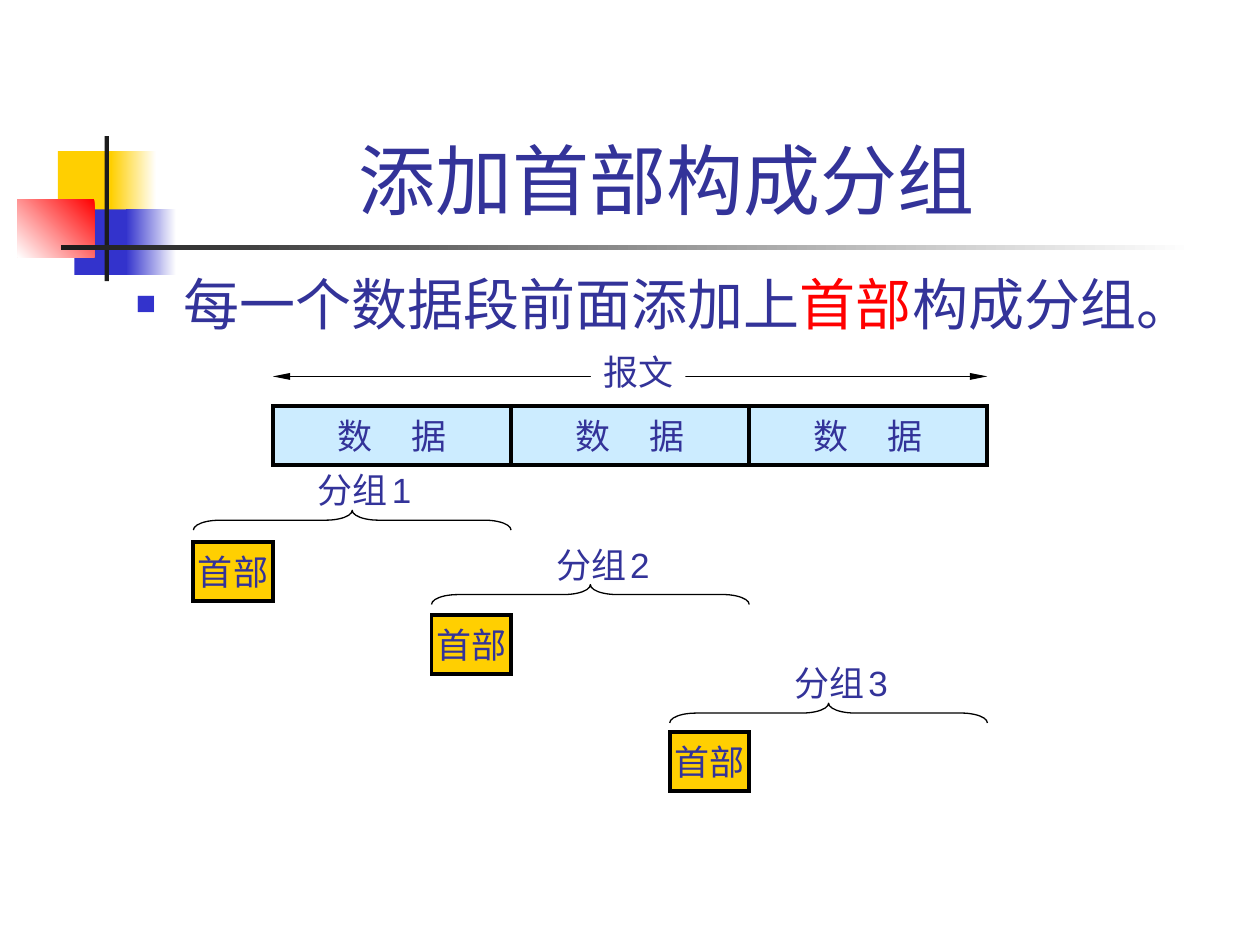
from dataclasses import dataclass
from typing import Optional

from lxml import etree
from pptx import Presentation
from pptx.dml.color import RGBColor
from pptx.enum import shapes, text
from pptx.oxml.ns import qn
from pptx.util import Pt


@dataclass(frozen=True)
class Theme:
    ink: str = "333399"
    red: str = "FF0000"
    yellow: str = "FFCF01"
    blue: str = "3333CC"
    pale: str = "CCECFF"
    dark: str = "1C1C1C"
    black: str = "000000"
    white: str = "FFFFFF"
    sans: str = "Arial"
    label: str = "Lato"
    serif: str = "Times New Roman"
    title_size: float = 44
    body_size: float = 32
    label_size: float = 20
    gap_size: float = 10
    thick: float = 2.25
    thin: float = 0.75


@dataclass(frozen=True)
class Area:
    left: float
    top: float
    width: float
    height: float

    def lengths(self) -> tuple:
        return Pt(self.left), Pt(self.top), Pt(self.width), Pt(self.height)


@dataclass(frozen=True)
class Span:
    words: str
    color: Optional[str] = None
    font: Optional[str] = None
    size: Optional[float] = None
    spacing: Optional[float] = None


@dataclass(frozen=True)
class Ornament:
    area: Area
    start: str
    end: Optional[str] = None
    angle: float = 180


@dataclass(frozen=True)
class Packet:
    number: int
    brace_top: float
    header_top: float


THEME = Theme()
ORNAMENTS = [
    Ornament(Area(33.1, 86.4, 34.6, 37.4), THEME.yellow),
    Ornament(Area(63.4, 86.4, 25.9, 37.4), THEME.white, THEME.yellow),
    Ornament(Area(42.5, 119.7, 33.1, 37.4), THEME.blue),
    Ornament(Area(72, 119.7, 28.8, 37.4), THEME.white, THEME.blue),
    Ornament(Area(10, 113.8, 44, 33.1), THEME.red, THEME.white, 225),
    Ornament(Area(59.8, 77.8, 2.4, 82.8), THEME.dark),
    Ornament(Area(34.6, 140.2, 648, 2.5), THEME.white, THEME.dark),
]
PACKETS = [Packet(1, 291.6, 309.6), Packet(2, 334.1, 351.4), Packet(3, 401.8, 418.3)]

# Message grid: each header sits just left of its data column
MESSAGE_LEFT, COLUMN_WIDTH = 155.9, 136.1
HEADER_WIDTH, BLOCK_HEIGHT = 45.4, 33.8
DATA_TOP, ARROW_TOP = 231.8, 215.1
BRACE_HEIGHT, BRACE_CURVE = 11.3, 1.33
LABEL_INDENT, LABEL_RISE = 64.1, 27.3


def add_rect(page, area: Area, fill: str, line: Optional[str] = None):
    box = page.shapes.add_shape(shapes.MSO_SHAPE.RECTANGLE, *area.lengths())
    box.shadow.inherit = False
    box.fill.solid()
    box.fill.fore_color.rgb = RGBColor.from_string(fill)
    if line:
        box.line.color.rgb = RGBColor.from_string(line)
        box.line.width = Pt(THEME.thick)
        etree.SubElement(box.line._get_or_add_ln(), qn("a:miter"), lim="800000")
    else:
        box.line.fill.background()
    return box


def add_ornament(page, ornament: Ornament) -> None:
    box = add_rect(page, ornament.area, ornament.start)
    if ornament.end:
        box.fill.gradient()
        box.fill.gradient_angle = ornament.angle
        for stop, color in zip(box.fill.gradient_stops, (ornament.start, ornament.end)):
            stop.color.rgb = RGBColor.from_string(color)


def write(box, spans: list, font: str, size: float, align=text.PP_ALIGN.LEFT,
          anchor=text.MSO_ANCHOR.TOP, wrap: bool = False) -> None:
    frame = box.text_frame
    frame.word_wrap = wrap
    frame.vertical_anchor = anchor
    para = frame.paragraphs[0]
    para.alignment = align
    para.font.name, para.font.size = font, Pt(size)
    para.font.color.rgb = RGBColor.from_string(THEME.ink)
    for span in spans:
        run = para.add_run()
        run.text = span.words
        if span.color:
            run.font.color.rgb = RGBColor.from_string(span.color)
        if span.font:
            run.font.name = span.font
        if span.size:
            run.font.size = Pt(span.size)
        if span.spacing:
            run.font._element.set("spc", str(int(span.spacing * 100)))


def add_bullet(para, indent: float) -> None:
    props = para._p.get_or_add_pPr()
    props.set("marL", str(Pt(indent)))
    props.set("indent", str(-Pt(indent)))
    color = etree.Element(qn("a:buClr"))
    etree.SubElement(color, qn("a:srgbClr"), val=THEME.blue)
    size = etree.Element(qn("a:buSzPct"), val="60000")
    face = etree.Element(qn("a:buFont"), typeface=THEME.sans)
    mark = etree.Element(qn("a:buChar"), char="■")
    for place, element in enumerate((color, size, face, mark)):
        props.insert(place, element)


def add_block(page, area: Area, fill: str, spans: list) -> None:
    write(add_rect(page, area, fill, THEME.black), spans, THEME.label, THEME.label_size,
          text.PP_ALIGN.CENTER, text.MSO_ANCHOR.MIDDLE)


def add_span_arrow(page, left: float, right: float, top: float) -> None:
    arrow = page.shapes.add_connector(shapes.MSO_CONNECTOR.STRAIGHT,
                                      Pt(left), Pt(top), Pt(right), Pt(top))
    arrow.line.color.rgb = RGBColor.from_string(THEME.black)
    arrow.line.width = Pt(THEME.thin)
    for end in ("a:headEnd", "a:tailEnd"):
        etree.SubElement(arrow.line._get_or_add_ln(), qn(end),
                         type="triangle", w="sm", len="lg")
    etree.SubElement(arrow._element.spPr, qn("a:effectLst"))


def add_brace(page, left: float, top: float, width: float) -> None:
    # The upright brace is turned a quarter about its centre
    upright = Area(left + (width - BRACE_HEIGHT) / 2, top - (width - BRACE_HEIGHT) / 2,
                   BRACE_HEIGHT, width)
    brace = page.shapes.add_shape(shapes.MSO_SHAPE.LEFT_BRACE, *upright.lengths())
    brace.rotation = 90
    brace.adjustments[0] = BRACE_CURVE
    brace.shadow.inherit = False
    brace.fill.background()
    brace.line.color.rgb = RGBColor.from_string(THEME.black)
    brace.line.width = Pt(THEME.thin)


def add_packet(page, packet: Packet) -> None:
    left = MESSAGE_LEFT + (packet.number - 1) * COLUMN_WIDTH - HEADER_WIDTH
    add_block(page, Area(left, packet.header_top, HEADER_WIDTH, BLOCK_HEIGHT),
              THEME.yellow, [Span("首部")])
    add_brace(page, left, packet.brace_top, HEADER_WIDTH + COLUMN_WIDTH)
    # The label is a little wider than its text, so it stays on one line
    label = Area(left + LABEL_INDENT, packet.brace_top - LABEL_RISE, 78, 31.7)
    write(page.shapes.add_textbox(*label.lengths()),
          [Span("分组"), Span(" ", font=THEME.sans, size=THEME.gap_size),
           Span(str(packet.number), font=THEME.sans)],
          THEME.label, THEME.label_size, wrap=True)


def main() -> None:
    deck = Presentation()
    deck.slide_width, deck.slide_height = Pt(720), Pt(540)
    page = deck.slides.add_slide(deck.slide_layouts[6])

    # Corner decoration
    for ornament in ORNAMENTS:
        add_ornament(page, ornament)

    # Title and statement
    title = page.shapes.add_textbox(*Area(90.7, 16.6, 581, 115.2).lengths())
    write(title, [Span("添加首部构成分组")], THEME.sans, THEME.title_size,
          text.PP_ALIGN.CENTER, text.MSO_ANCHOR.BOTTOM, wrap=True)
    body = page.shapes.add_textbox(*Area(70.6, 150.5, 623.5, 324).lengths())
    add_bullet(body.text_frame.paragraphs[0], 27)
    write(body, [Span("每一个数据段前面添加上"), Span("首部", THEME.red), Span("构成分组。")],
          THEME.sans, THEME.body_size, wrap=True)

    # Whole message: span arrow, its label and the data columns
    add_span_arrow(page, MESSAGE_LEFT, MESSAGE_LEFT + 3 * COLUMN_WIDTH, ARROW_TOP)
    label = add_rect(page, Area(337.7, 196.6, 54, 31.7), THEME.white)
    write(label, [Span("报文")], THEME.serif, THEME.label_size)
    for column in range(3):
        area = Area(MESSAGE_LEFT + column * COLUMN_WIDTH, DATA_TOP, COLUMN_WIDTH, BLOCK_HEIGHT)
        add_block(page, area, THEME.pale, [Span("数"), Span(" ", spacing=18), Span("据")])

    # Packets
    for packet in PACKETS:
        add_packet(page, packet)

    deck.save("out.pptx")


if __name__ == "__main__":
    main()
